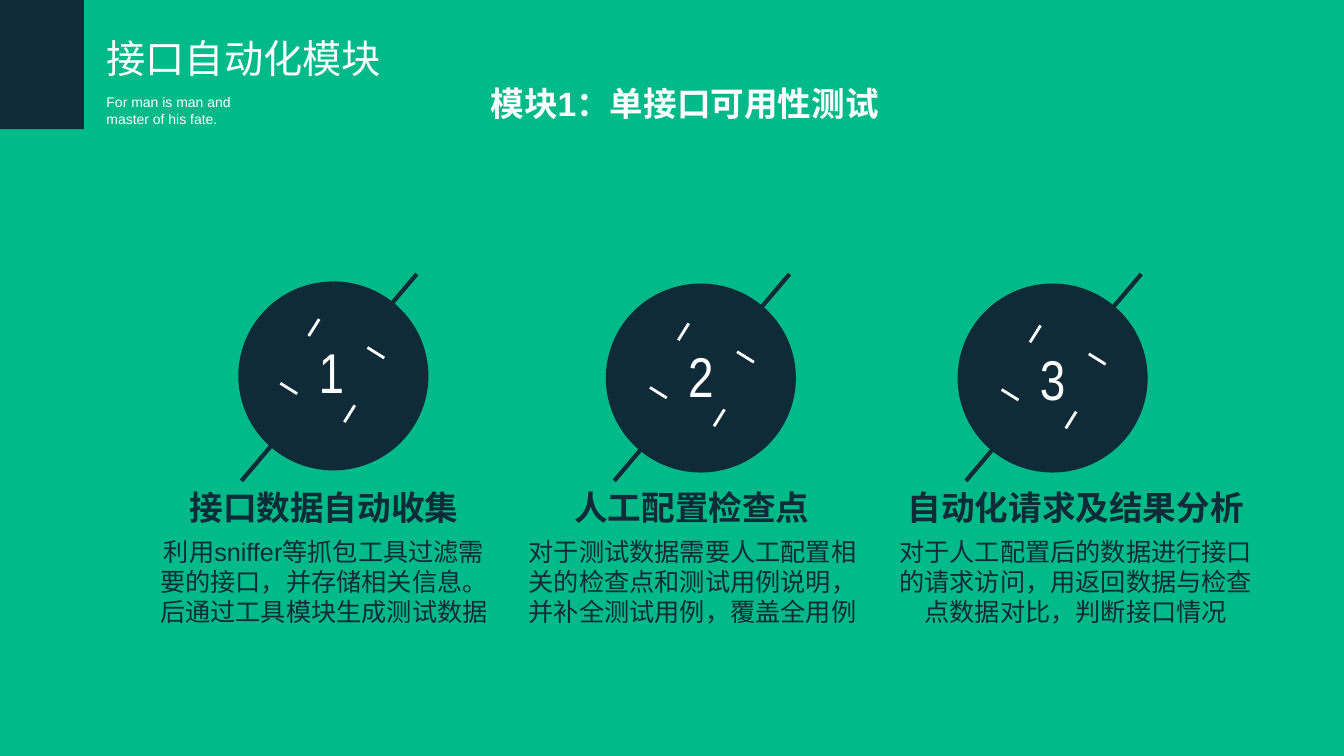
from dataclasses import dataclass

from pptx import Presentation
from pptx.dml.color import RGBColor
from pptx.enum.shapes import MSO_CONNECTOR as CONN, MSO_SHAPE as SHAPE
from pptx.enum.text import MSO_ANCHOR as ANCHOR, MSO_AUTO_SIZE as AUTO, PP_ALIGN as ALIGN
from pptx.oxml.ns import qn
from pptx.slide import Slide
from pptx.text.text import TextFrame
from pptx.util import Emu, Pt

PX = 9525  # EMU per px, 96 px to the inch


@dataclass(frozen=True)
class Theme:
    green: RGBColor = RGBColor(0x00, 0xBA, 0x89)
    navy: RGBColor = RGBColor(0x0F, 0x2B, 0x37)
    white: RGBColor = RGBColor(0xFF, 0xFF, 0xFF)
    font: str = "Arial"
    number_font: str = "Arial Narrow"
    title: int = 28
    heading: int = 24
    body: int = 18
    tagline: int = 10
    number: int = 40
    slash: int = 3
    tick: int = 2


@dataclass(frozen=True)
class Step:
    heading: str
    body: str
    heading_w: int
    text_x: int
    text_w: int
    disc: tuple[int, int]
    slash_x: int
    badge: tuple[int, int]


T = Theme()

STEPS = [
    Step("接口数据自动收集",
         "利用sniffer等抓包工具过滤需要的接口，并存储相关信息。后通过工具模块生成测试数据",
         277, 137, 343, (227, 268), 230, (280, 317)),
    Step("人工配置检查点",
         "对于测试数据需要人工配置相关的检查点和测试用例说明，并补全测试用例，覆盖全用例",
         246, 488, 343, (577, 270), 585, (632, 321)),
    Step("自动化请求及结果分析",
         "对于人工配置后的数据进行接口的请求访问，用返回数据与检查点数据对比，判断接口情况",
         363, 843, 363, (912, 270), 920, (967, 323)),
]

# Ticks around a number, measured from the badge corner
TICKS = [(70, 14, 86, 24), (-13, 48, 3, 58), (24, -13, 14, 3), (58, 69, 48, 85)]


def px(*values: int) -> list[Emu]:
    return [Emu(v * PX) for v in values]


def write(tf: TextFrame, text: str, *, size: int, color: RGBColor, font: str = T.font,
          bold: bool = False, align: ALIGN = ALIGN.LEFT, wrap: bool = True) -> None:
    tf.word_wrap = wrap
    tf.auto_size = AUTO.SHAPE_TO_FIT_TEXT
    tf.vertical_anchor = ANCHOR.TOP
    p = tf.paragraphs[0]
    p.alignment = align
    r = p.add_run()
    r.text = text
    r.font.name, r.font.size, r.font.bold = font, Pt(size), bold
    r.font.color.rgb = color


def add_text(s: Slide, box: tuple[int, int, int, int], text: str, **fmt) -> None:
    write(s.shapes.add_textbox(*px(*box)).text_frame, text, **fmt)


def add_block(s: Slide, kind: SHAPE, box: tuple[int, int, int, int], rotation: int = 0) -> None:
    sp = s.shapes.add_shape(kind, *px(*box))
    sp.shadow.inherit = False
    sp.fill.solid()
    sp.fill.fore_color.rgb = T.navy
    sp.line.fill.background()
    sp.rotation = rotation


def add_line(s: Slide, ends: tuple[int, int, int, int], color: RGBColor, width: int) -> None:
    line = s.shapes.add_connector(CONN.STRAIGHT, *px(*ends))
    line.line.color.rgb = color
    line.line.width = Pt(width)
    sp_pr = line._element.spPr
    sp_pr.append(sp_pr.makeelement(qn("a:effectLst"), {}))


def add_header(s: Slide) -> None:
    title = s.shapes.title
    title.left, title.top, title.width, title.height = px(92, 28, 343, 55)
    write(title.text_frame, "接口自动化模块", size=T.title, color=T.white)
    add_block(s, SHAPE.RECTANGLE, (0, 0, 80, 123))
    add_text(s, (92, 84, 165, 42), "For man is man and master of his fate.",
             size=T.tagline, color=T.white)
    add_text(s, (396, 74, 512, 48), "模块1：单接口可用性测试",
             size=T.heading, color=T.white, bold=True, align=ALIGN.CENTER)


def add_step(s: Slide, number: int, step: Step) -> None:
    # Slash behind the disc
    add_line(s, (step.slash_x + 167, 261, step.slash_x, 458), T.navy, T.slash)
    add_block(s, SHAPE.OVAL, (*step.disc, 181, 180))

    # Numbered badge
    x, y = step.badge
    add_block(s, SHAPE.RECTANGLE, (x, y, 74, 74), rotation=30)
    for x1, y1, x2, y2 in TICKS:
        add_line(s, (x + x1, y + y1, x + x2, y + y2), T.white, T.tick)
    add_text(s, (x + 14, y, 53, 74), str(number),
             size=T.number, color=T.white, font=T.number_font)

    # Heading centred over its description
    heading_x = step.text_x + (step.text_w - step.heading_w) // 2
    add_text(s, (heading_x, 459, step.heading_w, 48), step.heading,
             size=T.heading, color=T.navy, bold=True, align=ALIGN.CENTER, wrap=False)
    add_text(s, (step.text_x, 506, step.text_w, 97), step.body,
             size=T.body, color=T.navy, align=ALIGN.CENTER)


def main() -> None:
    prs = Presentation()
    prs.slide_width, prs.slide_height = px(1280, 720)
    s = prs.slides.add_slide(prs.slide_layouts[5])
    s.background.fill.solid()
    s.background.fill.fore_color.rgb = T.green
    add_header(s)
    for number, step in enumerate(STEPS, start=1):
        add_step(s, number, step)
    prs.save("out.pptx")


if __name__ == "__main__":
    main()
